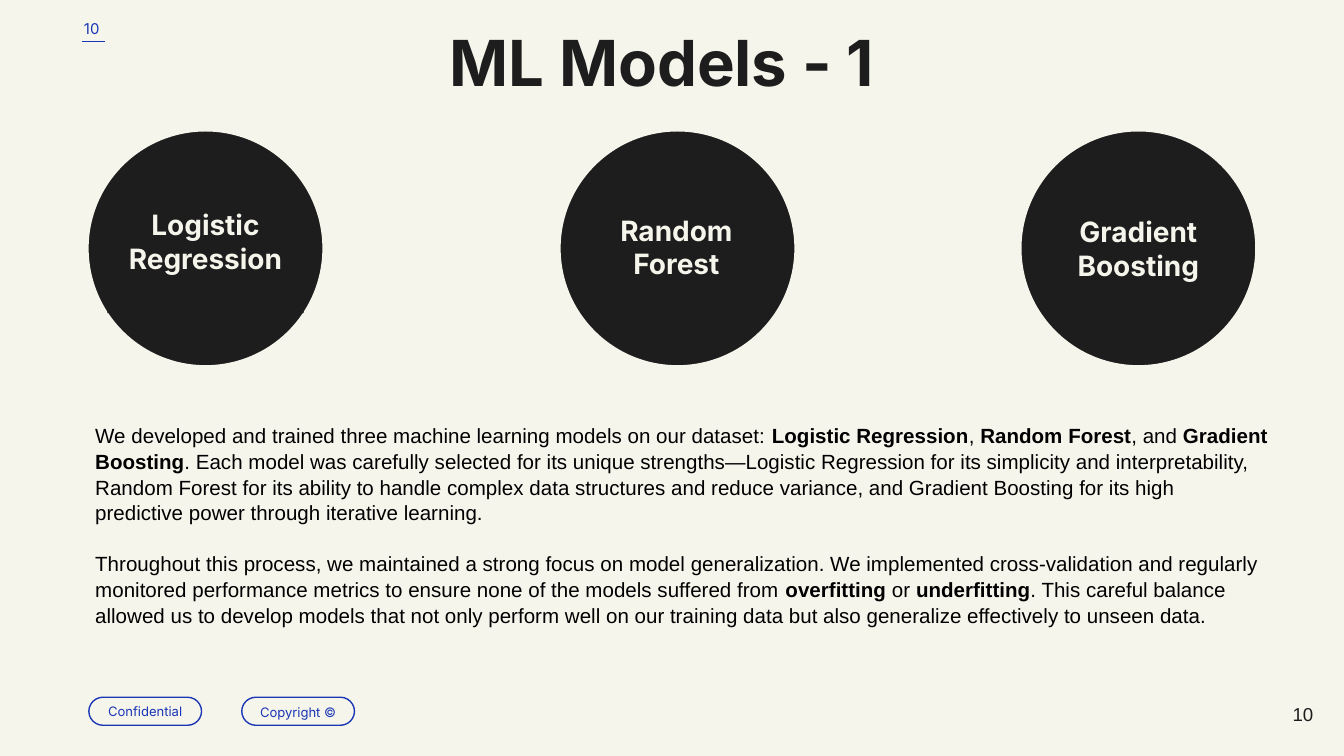
"""Build the slide that presents the three machine learning models."""
from dataclasses import dataclass

from lxml.etree import SubElement
from pptx import Presentation
from pptx.dml.color import RGBColor as Color
from pptx.enum.shapes import MSO_CONNECTOR as Connector, MSO_SHAPE as Preset
from pptx.enum.text import MSO_ANCHOR as Anchor, PP_ALIGN as Align
from pptx.oxml.ns import qn
from pptx.util import Cm, Pt


@dataclass(frozen=True)
class Theme:
    paper: Color = Color.from_string("F6F5EC")
    ink: Color = Color.from_string("1D1D1D")
    blue: Color = Color.from_string("1A36B4")
    black: Color = Color.from_string("000000")
    display: str = "Inter"
    text: str = "Arial"
    title_size: int = 34
    model_size: int = 15
    body_size: int = 11
    number_size: int = 10
    index_size: int = 8
    pill_size: int = 7


THEME = Theme()
NUMBER = "10"
CIRCLE_TOP, CIRCLE_SIZE = 2.46, 4.47
PILLS = [("Confidential", 1.68, 1.0), ("Copyright ©", 4.57, 1.15)]
CIRCLES = [(1.65, None), (10.57, None), (19.28, "Gradient Boosting")]
LABELS = [
    ("Random Forest", (11.07, 3.78, 3.43, 2.03)),
    ("Logistic Regression", (2.03, 3.68, 3.71, 2.24)),
]
BODY = [
    [
        ("We developed and trained three machine learning models on our dataset: ", False),
        ("Logistic Regression", True),
        (", ", False),
        ("Random Forest", True),
        (", and ", False),
        ("Gradient Boosting", True),
        (". Each model was carefully selected for its unique strengths—Logistic Regression "
         "for its simplicity and interpretability, Random Forest for its ability to handle "
         "complex data structures and reduce variance, and Gradient Boosting for its high "
         "predictive power through iterative learning.", False),
    ],
    [
        ("Throughout this process, we maintained a strong focus on model generalization. "
         "We implemented cross-validation and regularly monitored performance metrics to "
         "ensure none of the models suffered from ", False),
        ("overfitting", True),
        (" or ", False),
        ("underfitting", True),
        (". This careful balance allowed us to develop models that not only perform well on "
         "our training data but also generalize effectively to unseen data.", False),
    ],
]


def assign(target, values):
    for name, value in values.items():
        setattr(target, name, value)


def write(shape, paragraphs, font, size, color, anchor=Anchor.TOP, **layout):
    frame = shape.text_frame
    margins = dict.fromkeys(
        ("margin_left", "margin_top", "margin_right", "margin_bottom"), Cm(0.25))
    assign(frame, {"word_wrap": True, "vertical_anchor": anchor, **margins})
    for index, spans in enumerate(paragraphs):
        para = frame.paragraphs[0] if index == 0 else frame.add_paragraph()
        assign(para, layout)
        for words, bold in spans:
            span = para.add_run()
            span.text = words
            assign(span.font, {"name": font, "size": Pt(size), "bold": bold})
            span.font.color.rgb = color


def add_text(page, place, paragraphs, *style, **layout):
    box = page.shapes.add_textbox(*map(Cm, place))
    write(box, paragraphs, *style, **layout)


def add_panel(page, preset, place, fill=None, line=None, width=0.75):
    panel = page.shapes.add_shape(preset, *map(Cm, place))
    panel.shadow.inherit = False
    if preset == Preset.ROUNDED_RECTANGLE:
        panel.adjustments[0] = 0.5
    if fill is None:
        panel.fill.background()
    else:
        panel.fill.solid()
        panel.fill.fore_color.rgb = fill
    if line is None:
        panel.line.fill.background()
    else:
        panel.line.color.rgb = line
        panel.line.width = Pt(width)
    return panel


def add_rule(page, start, end):
    rule = page.shapes.add_connector(Connector.STRAIGHT, *map(Cm, start + end))
    rule.line.color.rgb = THEME.blue
    rule.line.width = Pt(0.75)
    SubElement(rule._element.spPr, qn("a:effectLst"))


def add_pill(page, words, left, spacing):
    pill = add_panel(page, Preset.ROUNDED_RECTANGLE, (left, 13.18, 2.13, 0.53),
                     line=THEME.blue)
    write(pill, [[(words, False)]], THEME.display, THEME.pill_size, THEME.blue,
          Anchor.MIDDLE, alignment=Align.CENTER, line_spacing=spacing)


def write_model(shape, words, anchor):
    write(shape, [[(words, True)]], THEME.display, THEME.model_size, THEME.paper,
          anchor, alignment=Align.CENTER)


def add_circle(page, left, words):
    circle = add_panel(page, Preset.ROUNDED_RECTANGLE,
                       (left, CIRCLE_TOP, CIRCLE_SIZE, CIRCLE_SIZE),
                       THEME.ink, THEME.paper, 1.5)
    if words:
        write_model(circle, words, Anchor.MIDDLE)


def add_label(page, words, place):
    label = add_panel(page, Preset.RECTANGLE, place, THEME.ink)
    write_model(label, words, Anchor.TOP)


def main():
    deck = Presentation()
    assign(deck, {"slide_width": Cm(25.4), "slide_height": Cm(14.29)})
    page = deck.slides.add_slide(deck.slide_layouts[6])
    page.background.fill.solid()
    page.background.fill.fore_color.rgb = THEME.paper

    add_rule(page, (1.98, 0.78), (1.55, 0.78))
    for pill in PILLS:
        add_pill(page, *pill)
    add_text(page, (23.55, 12.95, 1.52, 1.09), [[(NUMBER, False)]], THEME.text,
             THEME.number_size, THEME.ink, Anchor.MIDDLE, alignment=Align.RIGHT)
    add_text(page, (6.38, 0.46, 12.27, 2.01), [[("ML Models - 1", True)]], THEME.display,
             THEME.title_size, THEME.ink, alignment=Align.CENTER, line_spacing=0.8)
    add_text(page, (1.14, 0, 1.19, 1.09), [[(NUMBER, False)]], THEME.display,
             THEME.index_size, THEME.blue, Anchor.MIDDLE, alignment=Align.CENTER)
    add_text(page, (1.55, 7.72, 22.68, 4.78), BODY, THEME.text, THEME.body_size,
             THEME.black, alignment=Align.LEFT, line_spacing=1.05, space_after=Pt(13.2))
    for circle in CIRCLES:
        add_circle(page, *circle)
    for label in LABELS:
        add_label(page, *label)
    deck.save("out.pptx")


if __name__ == "__main__":
    main()
